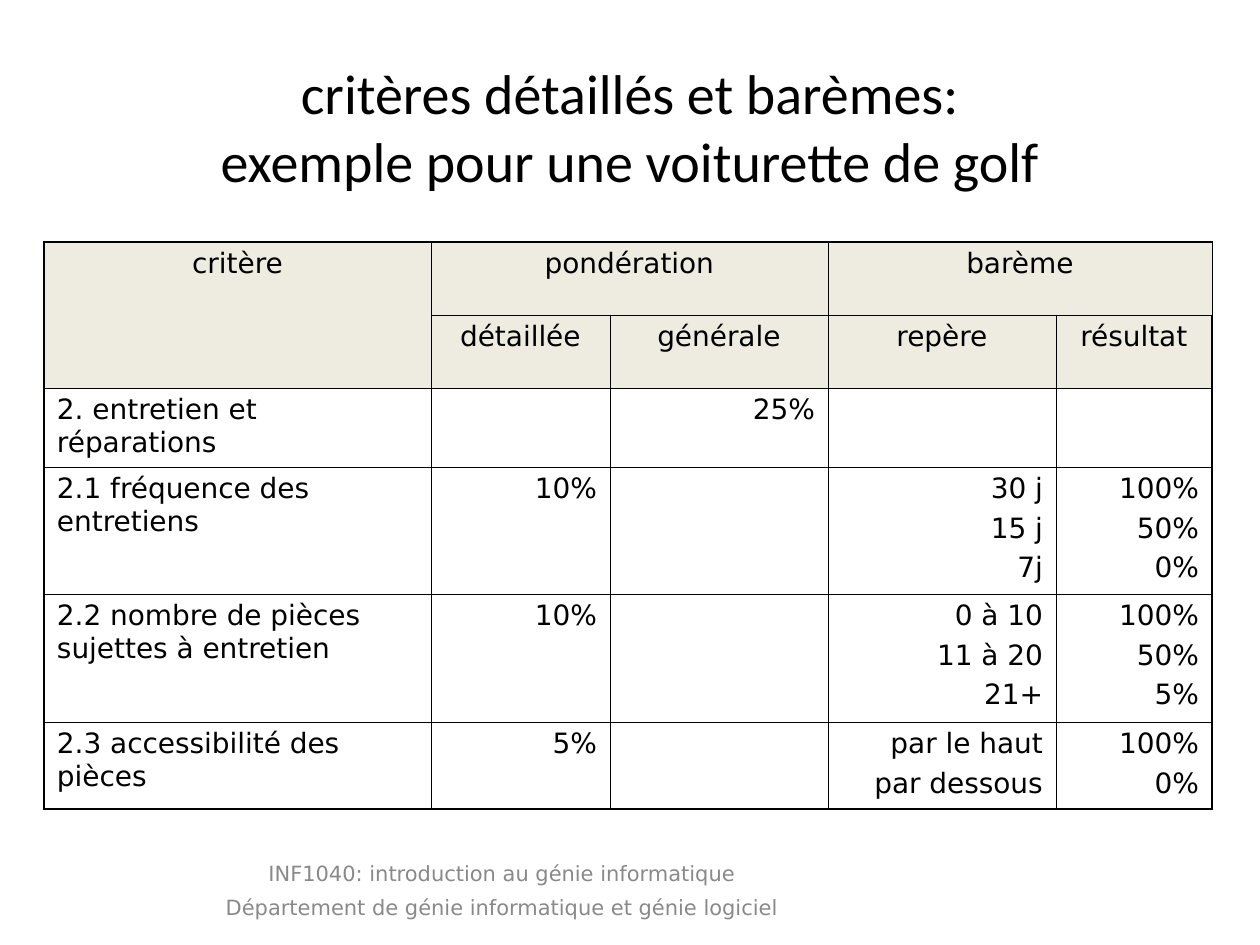
from lxml.etree import SubElement
from pptx import Presentation
from pptx.dml.color import RGBColor
from pptx.enum.text import MSO_ANCHOR as Anchor, PP_ALIGN as Align
from pptx.oxml.ns import qn
from pptx.util import Pt

PX = 914400 / 126
BLACK, GREY, BEIGE = "000000", "898989", "EEECE1"
INNER, OUTER = 0.45, 1.08  # border widths in points
MARGINS = {"margin_left": 13, "margin_right": 13, "margin_top": 6, "margin_bottom": 6}

COLUMNS = [387, 179, 218, 228, 156]
ROWS = [73, 73, 79, 127, 128, 87]
HEADER_ROWS = 2
MERGES = [(0, 0, 1, 0), (0, 1, 0, 2), (0, 3, 0, 4)]
CRITERIA = [
    ["critère", "pondération", "", "barème", ""],
    ["", "détaillée", "générale", "repère", "résultat"],
    ["2. entretien et réparations", "", "25%", "", ""],
    ["2.1 fréquence des entretiens", "10%", "", "30 j\n15 j\n7j", "100%\n50%\n0%"],
    ["2.2 nombre de pièces sujettes à entretien", "10%", "",
     "0 à 10\n11 à 20\n21+", "100%\n50%\n5%"],
    ["2.3 accessibilité des pièces", "5%", "", "par le haut\npar dessous", "100%\n0%"],
]


def px(length):
    return round(length * PX)


def color(value):
    return RGBColor.from_string(value)


def apply(target, values):
    for name, value in values.items():
        setattr(target, name, value)


def write(frame, text, font, size, ink, **paragraph_format):
    frame.text = text
    for paragraph in frame.paragraphs:
        apply(paragraph, paragraph_format)
        for run in paragraph.runs:
            apply(run.font, {"name": font, "size": Pt(size)})
            run.font.color.rgb = color(ink)


def add_text(slide, box, *text_format, **paragraph_format):
    frame = slide.shapes.add_textbox(*map(px, box)).text_frame
    apply(frame, {"word_wrap": True, "vertical_anchor": Anchor.MIDDLE})
    apply(frame, {side: px(gap) for side, gap in MARGINS.items()})
    write(frame, *text_format, alignment=Align.CENTER, **paragraph_format)


def set_borders(cell, widths):
    properties = cell._tc.get_or_add_tcPr()
    for index, (side, width) in enumerate(widths.items()):
        line = SubElement(properties, qn(f"a:ln{side}"), w=str(Pt(width)))
        fill = SubElement(line, qn("a:solidFill"))
        SubElement(fill, qn("a:srgbClr"), val=BLACK)
        properties.insert(index, line)


def add_title(slide, box):
    add_text(slide, box, "critères détaillés et barèmes:\vexemple pour une voiturette de golf",
             "Calibri", 32, BLACK)


def format_cell(cell, row, column):
    in_header = row < HEADER_ROWS
    if in_header:
        cell.fill.solid()
        cell.fill.fore_color.rgb = color(BEIGE)
        alignment = Align.CENTER
    else:
        cell.fill.background()
        alignment = Align.RIGHT if column else Align.LEFT
    apply(cell, {side: px(gap) for side, gap in MARGINS.items()})
    write(cell.text_frame, CRITERIA[row][column], "DejaVu Sans", 16, BLACK,
          alignment=alignment, space_before=Pt(4))
    on_edge = {"L": column == 0, "R": column == len(COLUMNS) - 1,
               "T": row == 0, "B": row == len(ROWS) - 1}
    set_borders(cell, {side: OUTER if edge else INNER for side, edge in on_edge.items()})


def add_criteria_table(slide, left, top):
    box = (left, top, sum(COLUMNS), sum(ROWS))
    table = slide.shapes.add_table(len(ROWS), len(COLUMNS), *map(px, box)).table
    apply(table, {"first_row": False, "horz_banding": False})
    for column, width in zip(table.columns, COLUMNS):
        column.width = px(width)
    for row, height in zip(table.rows, ROWS):
        row.height = px(height)
    for row in range(len(ROWS)):
        for column in range(len(COLUMNS)):
            format_cell(table.cell(row, column), row, column)
    for first_row, first_column, last_row, last_column in MERGES:
        table.cell(first_row, first_column).merge(table.cell(last_row, last_column))


def add_footer(slide, box):
    add_text(slide, box, "INF1040: introduction au génie informatique\n"
             "Département de génie informatique et génie logiciel",
             "DejaVu Sans", 12, GREY, line_spacing=0.8, space_before=Pt(7.5))


def main():
    deck = Presentation()
    apply(deck, {"slide_width": px(1260), "slide_height": px(945)})
    slide = deck.slides.add_slide(deck.slide_layouts[6])
    add_title(slide, (79, 42, 1102, 168))
    add_criteria_table(slide, 44, 242)
    add_footer(slide, (174, 861, 656, 63))
    deck.save("out.pptx")


if __name__ == "__main__":
    main()
